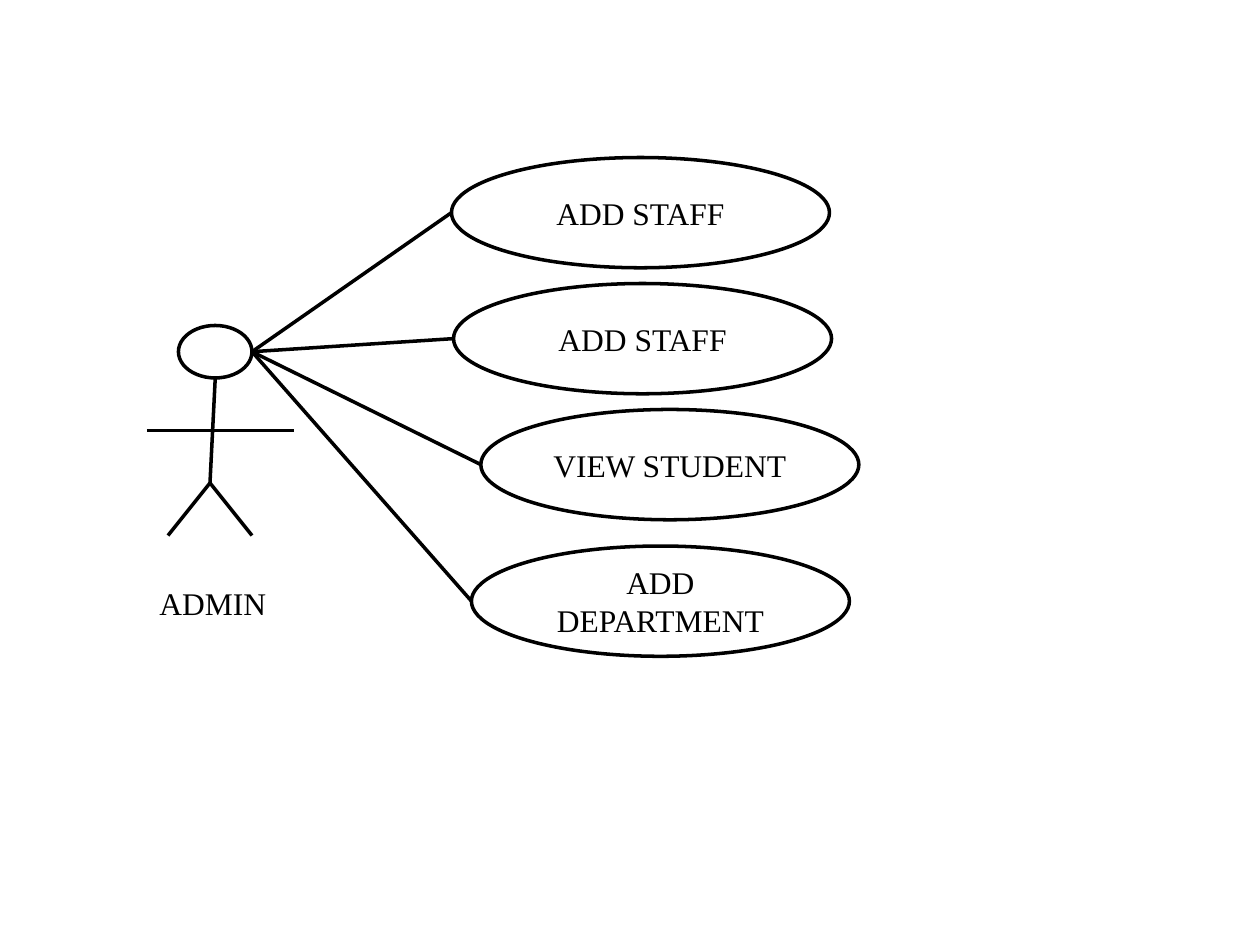
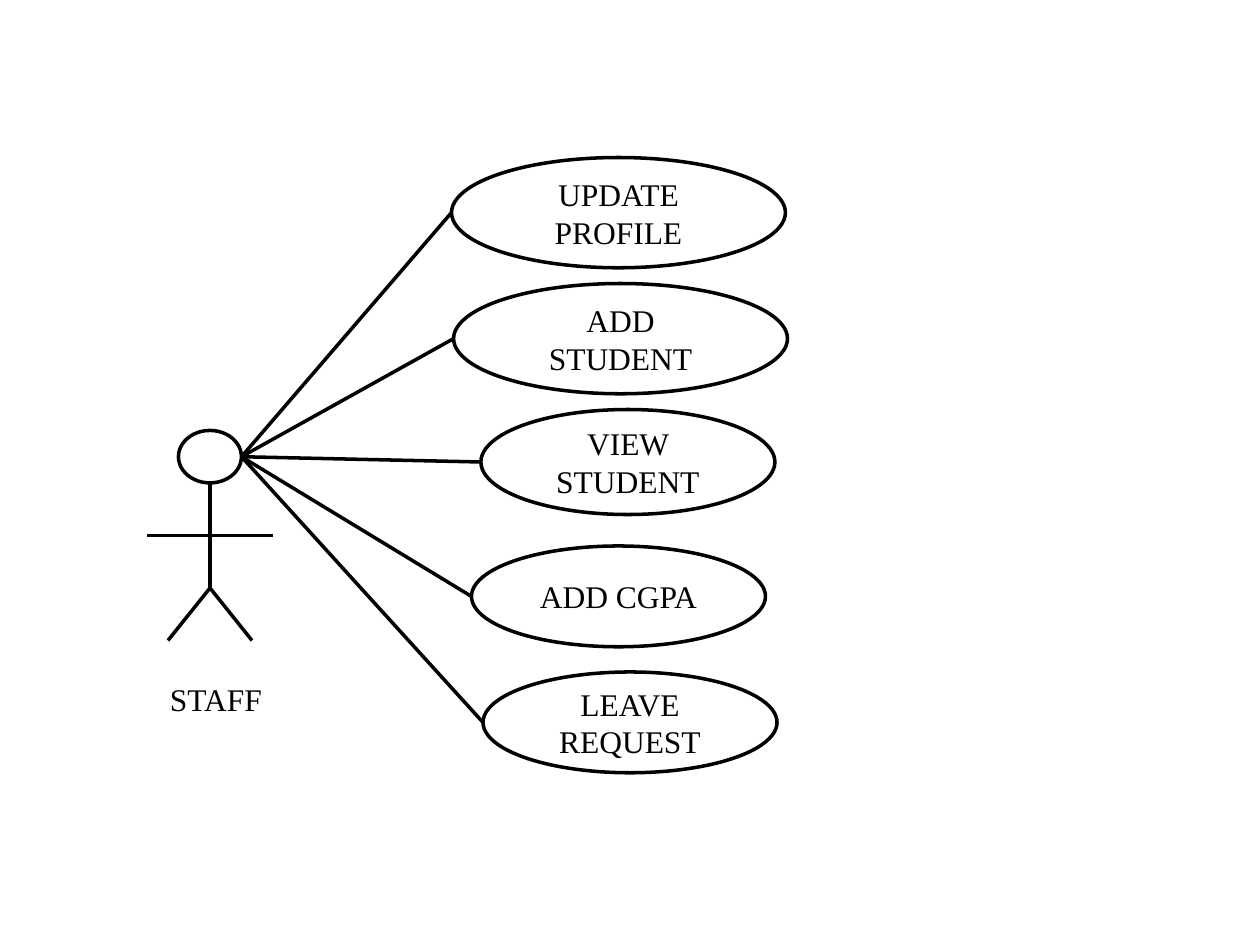
"""Two use case diagrams: what an admin and a staff member can do."""
import dataclasses

import lxml.etree
import pptx
import pptx.dml.color
import pptx.enum.shapes
import pptx.enum.text
import pptx.oxml.ns
import pptx.util

SHAPES = pptx.enum.shapes.MSO_SHAPE
ALIGN = pptx.enum.text.PP_ALIGN
ANCHOR = pptx.enum.text.MSO_ANCHOR


@dataclasses.dataclass(frozen=True)
class Theme:
    """Colours, type and line sizes shared by both slides."""
    ink: pptx.dml.color.RGBColor = pptx.dml.color.RGBColor(0, 0, 0)
    paper: pptx.dml.color.RGBColor = pptx.dml.color.RGBColor(255, 255, 255)
    font: str = "Times New Roman"
    text_size: int = 18
    line_width: int = 2


@dataclasses.dataclass(frozen=True)
class Actor:
    """A stick figure; lengths are in grid cells."""
    name: str
    head_top: float
    head_width: float
    arm_span: float
    label_box: tuple


THEME = Theme()
CELLS_PER_INCH = 12
HEAD_LEFT, HEAD_HEIGHT = 17, 5
ARM_LEFT, HIP_COLUMN, FOOT_COLUMNS = 14, 20, (16, 24)
# Rows below the top of the head
ARM_DROP, HIP_DROP, FOOT_DROP = 10, 15, 20

ADMIN = Actor("ADMIN", 31, 7, 14, (14, 55, 14, 4.8))
STAFF = Actor("STAFF", 41, 6, 12, (15, 64.2, 12, 4.8))

# Each use case: text, then left, top, width and height in grid cells
ADMIN_CASES = (
    ("ADD STAFF", (43, 15, 36, 10.5)),
    ("ADD STAFF", (43.2, 27, 36, 10.5)),
    ("VIEW STUDENT", (45.8, 39, 36, 10.5)),
    ("ADD DEPARTMENT", (44.9, 52, 36, 10.5)),
)
STAFF_CASES = (
    ("UPDATE PROFILE", (43, 15, 31.8, 10.5)),
    ("ADD STUDENT", (43.2, 27, 31.8, 10.5)),
    ("VIEW STUDENT", (45.8, 39, 28, 10)),
    ("ADD CGPA", (44.9, 52, 28, 9.6)),
    ("LEAVE REQUEST", (46, 64, 28, 9.6)),
)


def cells(*counts):
    """Turn grid cells into lengths."""
    return [pptx.util.Inches(count / CELLS_PER_INCH) for count in counts]


def add_outline(page, preset, box, line_colour):
    """Add a paper-filled shape with a plain outline."""
    shape = page.shapes.add_shape(preset, *cells(*box))
    shape.shadow.inherit = False
    shape.fill.solid()
    shape.fill.fore_color.rgb = THEME.paper
    shape.line.color.rgb = line_colour
    shape.line.width = pptx.util.Pt(THEME.line_width)
    return shape


def write_text(shape, text, alignment, anchor):
    """Write one paragraph in the theme's type."""
    frame = shape.text_frame
    frame.word_wrap = True
    frame.vertical_anchor = anchor
    para = frame.paragraphs[0]
    para.text = text
    para.alignment = alignment
    para.font.name = THEME.font
    para.font.size = pptx.util.Pt(THEME.text_size)
    para.font.color.rgb = THEME.ink


def add_line(page, start, end):
    """Draw a straight line between two grid points."""
    line = page.shapes.add_connector(
        pptx.enum.shapes.MSO_CONNECTOR.STRAIGHT, *cells(*start, *end))
    line.line.color.rgb = THEME.ink
    line.line.width = pptx.util.Pt(THEME.line_width)
    lxml.etree.SubElement(line._element.spPr, pptx.oxml.ns.qn("a:effectLst"))


def add_actor(page, actor):
    """Draw the stick figure and its name; return the point beside its head."""
    top = actor.head_top
    head = (HEAD_LEFT, top, actor.head_width, HEAD_HEIGHT)
    add_outline(page, SHAPES.OVAL, head, THEME.ink)
    neck = (HEAD_LEFT + actor.head_width / 2, top + HEAD_HEIGHT)
    hip = (HIP_COLUMN, top + HIP_DROP)
    arm_row = top + ARM_DROP
    add_line(page, neck, hip)
    add_line(page, (ARM_LEFT, arm_row), (ARM_LEFT + actor.arm_span, arm_row))
    for foot_column in FOOT_COLUMNS:
        add_line(page, (foot_column, top + FOOT_DROP), hip)
    label = add_outline(page, SHAPES.RECTANGLE, actor.label_box, THEME.paper)
    write_text(label, actor.name, ALIGN.LEFT, ANCHOR.TOP)
    return HEAD_LEFT + actor.head_width, top + HEAD_HEIGHT / 2


def add_use_case(page, text, box, origin):
    """Draw a use case and the line that joins it to the actor."""
    left, top, _, height = box
    oval = add_outline(page, SHAPES.OVAL, box, THEME.ink)
    write_text(oval, text, ALIGN.CENTER, ANCHOR.MIDDLE)
    add_line(page, origin, (left, top + height / 2))


def add_diagram(deck, actor, cases):
    """Add a slide with one actor and its use cases."""
    blank_layout = deck.slide_layouts[6]
    page = deck.slides.add_slide(blank_layout)
    page.background.fill.solid()
    page.background.fill.fore_color.rgb = THEME.paper
    origin = add_actor(page, actor)
    for text, box in cases:
        add_use_case(page, text, box, origin)


def main():
    """Build and save the deck."""
    deck = pptx.Presentation()
    deck.slide_width = pptx.util.Inches(10)
    deck.slide_height = pptx.util.Inches(7.5)
    add_diagram(deck, ADMIN, ADMIN_CASES)
    add_diagram(deck, STAFF, STAFF_CASES)
    deck.save("out.pptx")


main()
